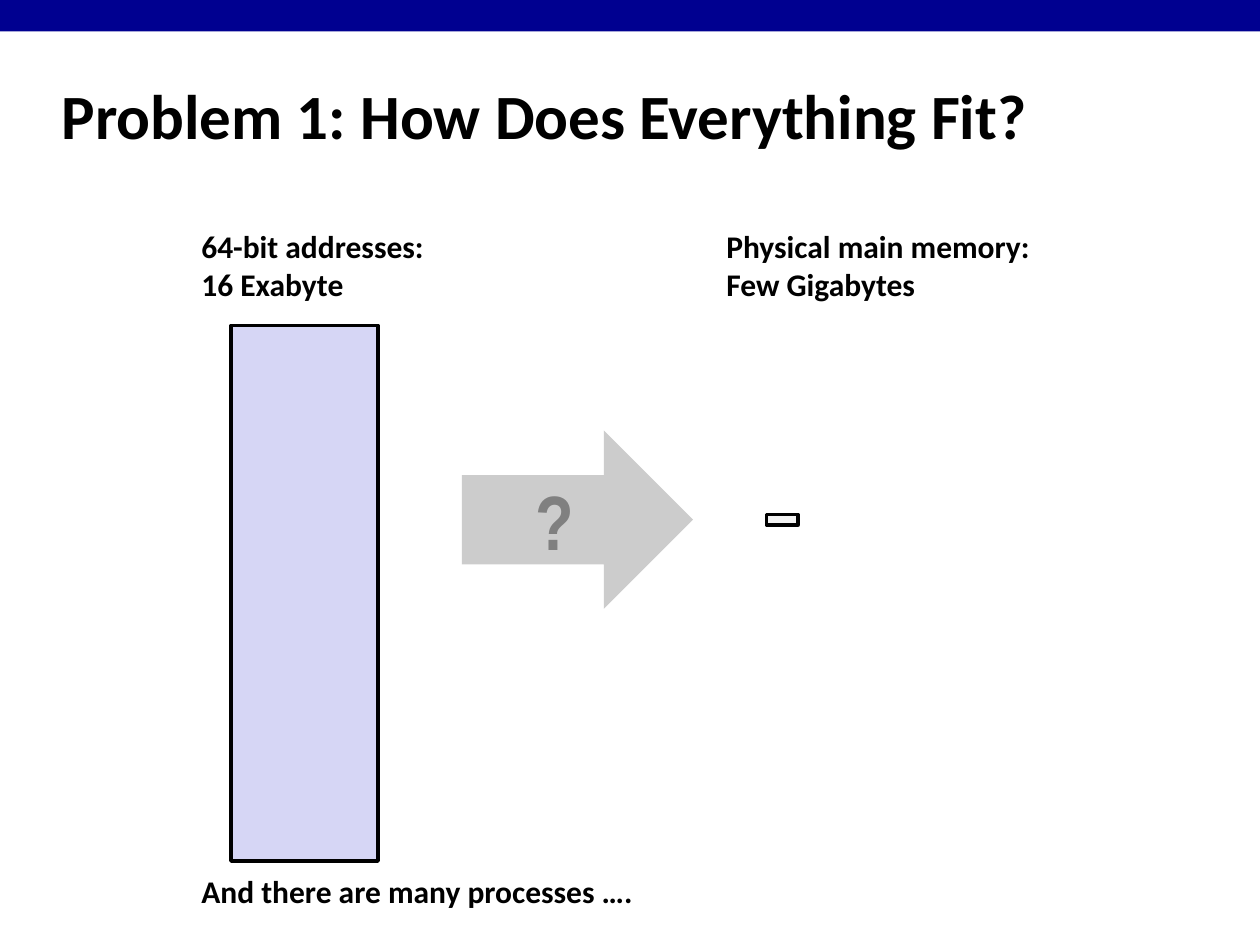
from pptx import Presentation
from pptx.dml.color import RGBColor
from pptx.enum.shapes import MSO_SHAPE
from pptx.enum.text import MSO_ANCHOR, MSO_AUTO_SIZE, PP_ALIGN
from pptx.util import Inches, Pt

RECT, ARROW = MSO_SHAPE.RECTANGLE, MSO_SHAPE.RIGHT_ARROW
TOP, MIDDLE = MSO_ANCHOR.TOP, MSO_ANCHOR.MIDDLE
LEFT, CENTER = PP_ALIGN.LEFT, PP_ALIGN.CENTER
GROW = MSO_AUTO_SIZE.SHAPE_TO_FIT_TEXT

BLACK = RGBColor(0x00, 0x00, 0x00)
NAVY = RGBColor(0x00, 0x00, 0x90)
LILAC = RGBColor(0xD6, 0xD6, 0xF5)
PALE = RGBColor(0xF2, 0xF2, 0xF2)
SILVER = RGBColor(0xCC, 0xCC, 0xCC)
GRAY = RGBColor(0x80, 0x80, 0x80)

COLS, ROWS = 120, 90


class Sheet:
    """One slide on a grid of 120 by 90 cells, with its text style."""

    font = "Calibri"

    def __init__(self, deck):
        self.slide = deck.slides.add_slide(deck.slide_layouts[6])
        self.col = deck.slide_width / COLS
        self.row = deck.slide_height / ROWS

    def place(self, col, row, wide, high):
        return (round(col * self.col), round(row * self.row),
                round(wide * self.col), round(high * self.row))

    def add_lines(self, frame, lines, size, color=BLACK, font=None, align=LEFT):
        for i, line in enumerate(lines):
            para = frame.paragraphs[0] if i == 0 else frame.add_paragraph()
            para.alignment = align
            run = para.add_run()
            run.text = line
            run.font.name = font or self.font
            run.font.size = Pt(size)
            run.font.bold = True
            run.font.color.rgb = color

    def title(self, cell, text):
        frame = self.slide.shapes.add_textbox(*self.place(*cell)).text_frame
        frame.word_wrap = True
        frame.vertical_anchor = MIDDLE
        self.add_lines(frame, [text], 36)

    def label(self, cell, *lines):
        frame = self.slide.shapes.add_textbox(*self.place(*cell)).text_frame
        frame.word_wrap = False
        frame.auto_size = GROW
        frame.vertical_anchor = TOP
        self.add_lines(frame, lines, 18)

    def block(self, cell, fill, kind=RECT, line=None):
        shape = self.slide.shapes.add_shape(kind, *self.place(*cell))
        shape.shadow.inherit = False
        shape.fill.solid()
        shape.fill.fore_color.rgb = fill
        if line is None:
            shape.line.fill.background()
        else:
            shape.line.color.rgb = line
            shape.line.width = Pt(2)
        return shape

    def arrow(self, cell, text):
        frame = self.block(cell, SILVER, ARROW).text_frame
        frame.vertical_anchor = MIDDLE
        self.add_lines(frame, [text], 44, GRAY, "Arial Narrow", CENTER)


def main():
    deck = Presentation()
    deck.slide_width, deck.slide_height = Inches(10), Inches(7.5)
    sheet = Sheet(deck)

    sheet.block((0, 0, COLS, 3), NAVY)
    sheet.title((4.7, 5.9, 99.6, 10), "Problem 1: How Does Everything Fit?")
    sheet.label((18, 21, 23.8, 8.5), "64-bit addresses:", "16 Exabyte")
    sheet.label((68, 21, 31.6, 8.5), "Physical main memory:", "Few Gigabytes")
    sheet.block((22, 31, 14, 51), LILAC, line=BLACK)
    sheet.block((73, 49, 3, 1), PALE, line=BLACK)
    sheet.arrow((44, 41, 22, 17), "?")
    sheet.label((18, 82.5, 43.8, 4.8), "And there are many processes ….")

    deck.save("out.pptx")


if __name__ == "__main__":
    main()
